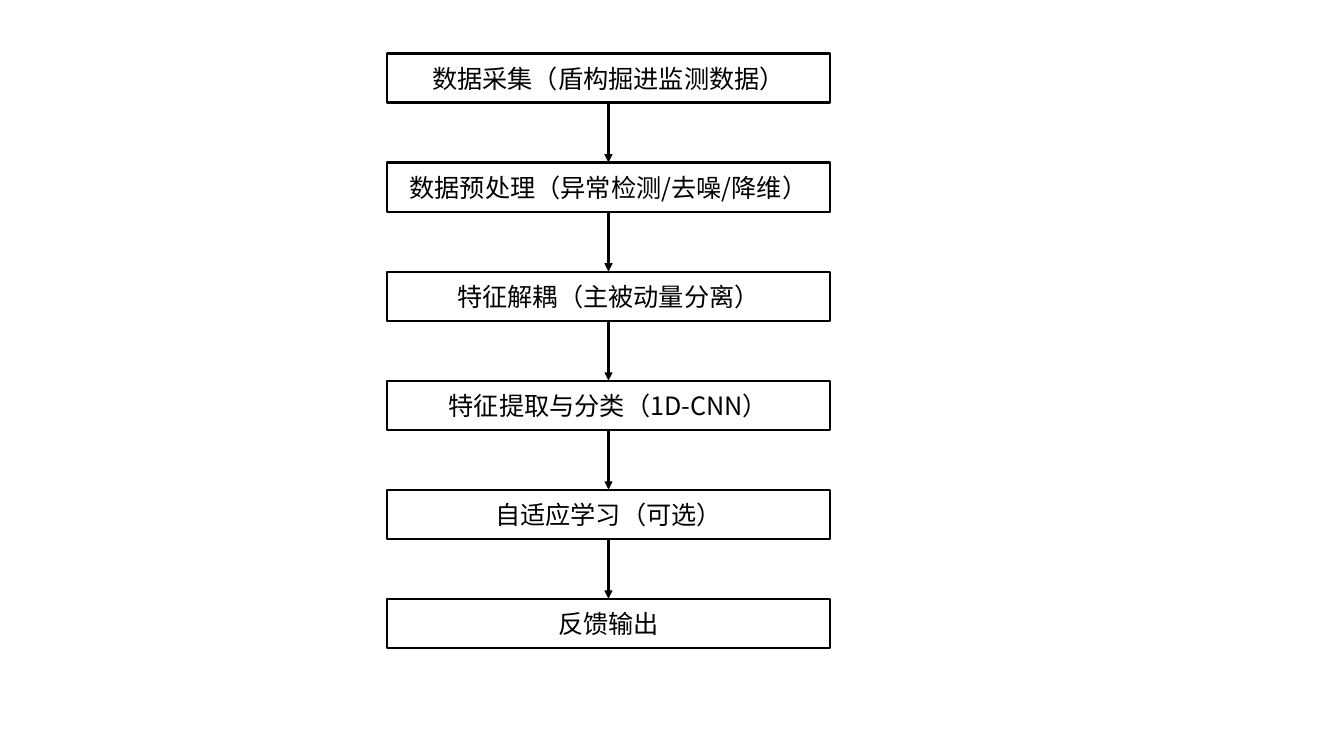
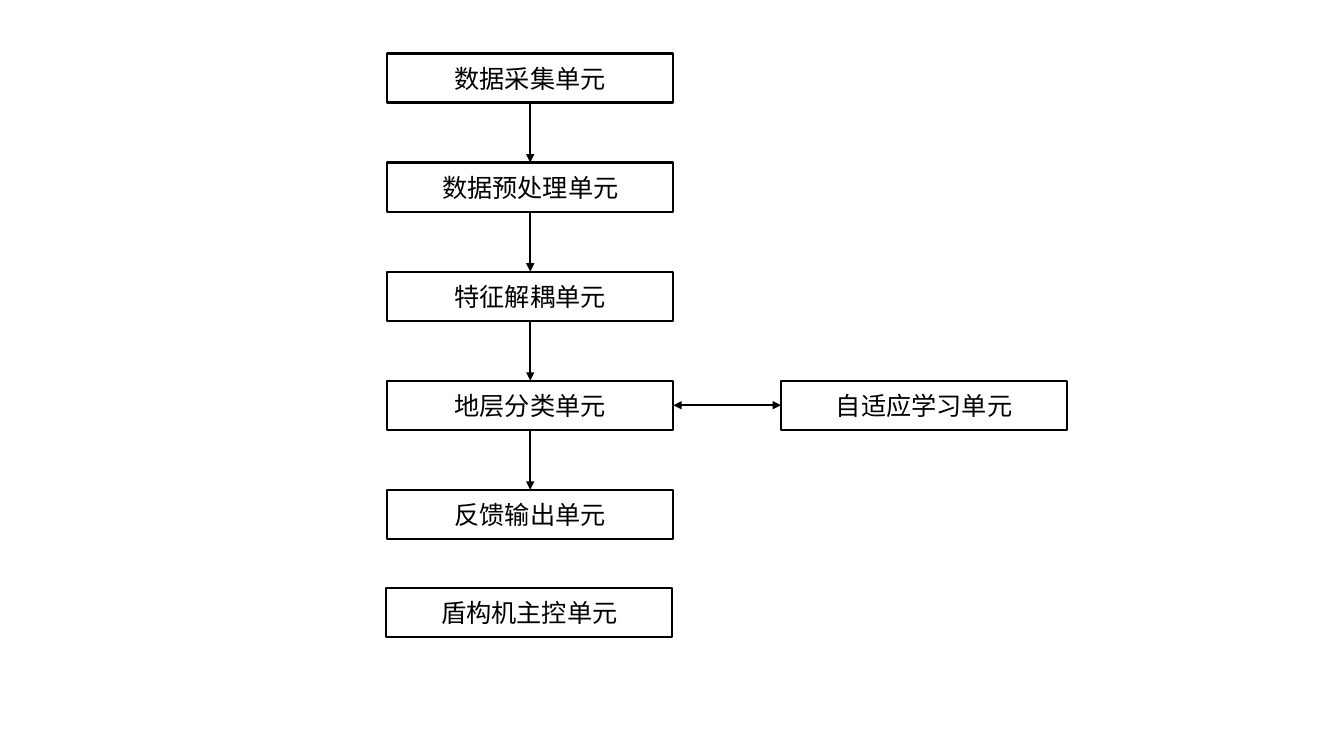
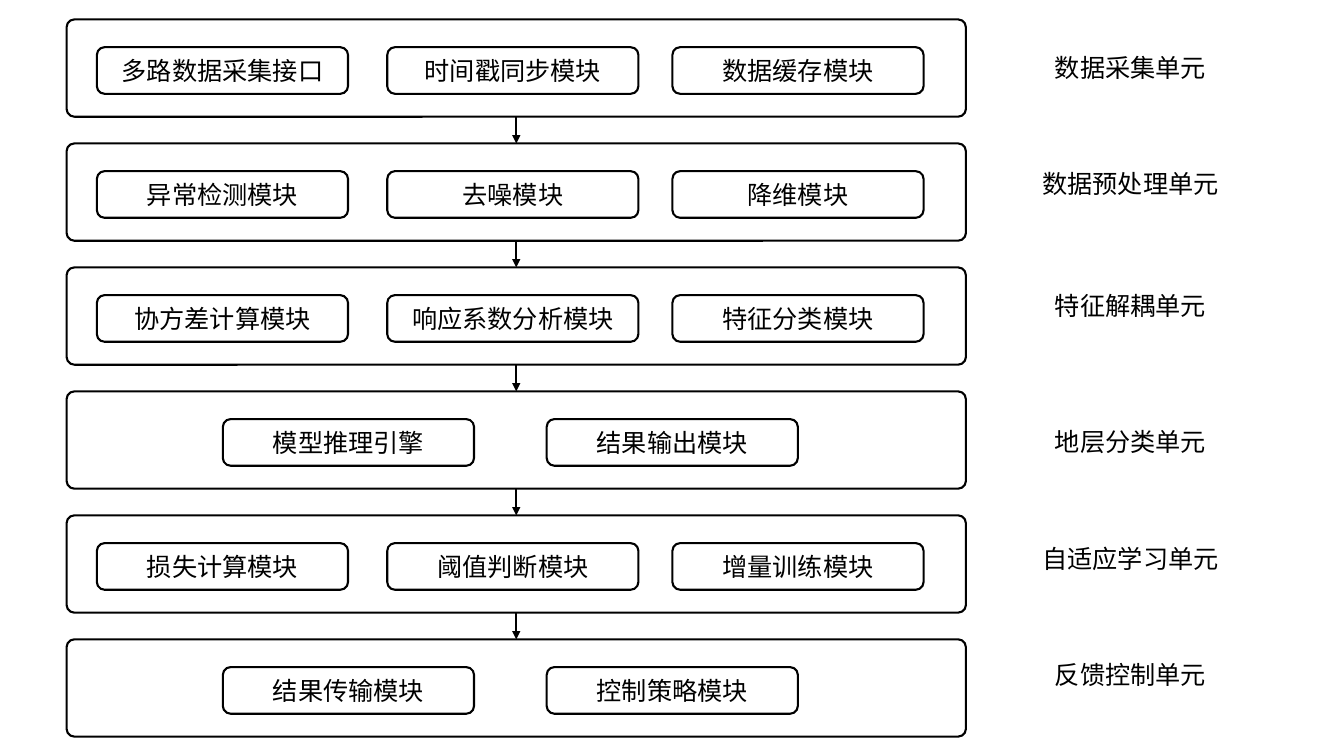
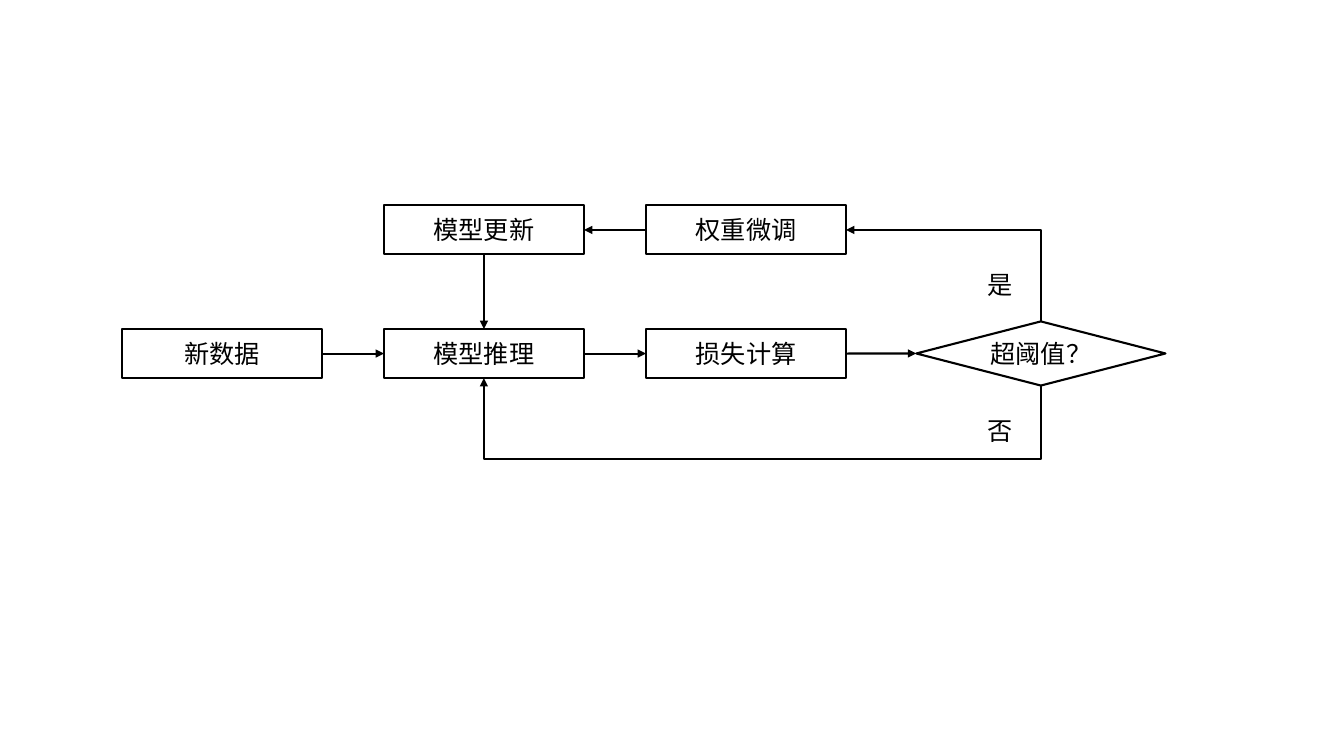
from lxml import etree
from pptx import Presentation
from pptx import util as u
from pptx.dml.color import RGBColor
from pptx.enum import shapes, text
from pptx.oxml import ns

COLORS = {"ink": "000000", "paper": "FFFFFF"}
CJK_FONT = "Noto Sans CJK SC"
LABEL_FONT = "Cabin"
FONT_FORMAT = {"size": u.Pt(18), "name": CJK_FONT}
FRAME_FORMAT = {"word_wrap": True, "vertical_anchor": text.MSO_ANCHOR.MIDDLE}
LABEL_FORMAT = {"word_wrap": True, "auto_size": text.MSO_AUTO_SIZE.SHAPE_TO_FIT_TEXT}
LINE_WIDTH = 1.5
BOX_HEIGHT = 35.1
STEP_PITCH = 77.9
TOP, LEFT, BOTTOM, RIGHT = range(4)
KIND = shapes.MSO_SHAPE


def apply(target, formats):
    for key, value in formats.items():
        setattr(target, key, value)


def color(name):
    return RGBColor.from_string(COLORS[name])


def write(frame, words, formats, align, font=CJK_FONT):
    apply(frame, formats)
    paragraph = frame.paragraphs[0]
    paragraph.alignment = align
    run = paragraph.add_run()
    run.text = words
    apply(run.font, {**FONT_FORMAT, "name": font})
    run.font.color.rgb = color("ink")
    etree.SubElement(run.font._element, ns.qn("a:ea"), typeface=CJK_FONT)


def ink_line(line):
    line.color.rgb = color("ink")
    line.width = u.Pt(LINE_WIDTH)


def add_box(parent, box, words="", kind=KIND.RECTANGLE, fill=None):
    node = parent.shapes.add_shape(kind, *map(u.Pt, box))
    node.shadow.inherit = False
    if fill:
        node.fill.solid()
        node.fill.fore_color.rgb = color(fill)
    else:
        node.fill.background()
    ink_line(node.line)
    if words:
        write(node.text_frame, words, FRAME_FORMAT, text.PP_ALIGN.CENTER)
    return node


def add_label(slide, box, words, align=None, font=CJK_FONT):
    label = slide.shapes.add_textbox(*map(u.Pt, box))
    write(label.text_frame, words, LABEL_FORMAT, align, font)


def link(slide, source, target, sides=(BOTTOM, TOP), ends=("tailEnd",),
         kind=shapes.MSO_CONNECTOR.STRAIGHT):
    arrow = slide.shapes.add_connector(kind, 0, 0, 0, 0)
    arrow.begin_connect(source, sides[0])
    arrow.end_connect(target, sides[1])
    ink_line(arrow.line)
    for end in ends:
        etree.SubElement(arrow.line._get_or_add_ln(), ns.qn(f"a:{end}"), type="triangle")
    etree.SubElement(arrow._element.spPr, ns.qn("a:effectLst"))
    return arrow


def link_bent(slide, source, target, sides, preset, turn, flip, via=None):
    arrow = link(slide, source, target, sides, kind=shapes.MSO_CONNECTOR.ELBOW)
    start_x, start_y = arrow.begin_x, arrow.begin_y
    end_x, end_y = arrow.end_x, arrow.end_y
    run, rise = abs(end_x - start_x), abs(end_y - start_y)
    apply(arrow, {"left": (start_x + end_x - rise) // 2,
                  "top": (start_y + end_y - run) // 2,
                  "width": rise, "height": run})
    xfrm = arrow._element.spPr.find(ns.qn("a:xfrm"))
    for key in ("flipH", "flipV"):
        xfrm.attrib.pop(key, None)
    xfrm.set("rot", str(turn * 60000))
    xfrm.set(flip, "1")
    geometry = arrow._element.spPr.find(ns.qn("a:prstGeom"))
    geometry.set("prst", preset)
    if via:
        ratio = round((u.Pt(via) - start_y) / (end_y - start_y) * 100000)
        guides = geometry.find(ns.qn("a:avLst"))
        if guides is None:
            guides = etree.SubElement(geometry, ns.qn("a:avLst"))
        etree.SubElement(guides, ns.qn("a:gd"), name="adj1", fmla=f"val {ratio}")


def chain(slide, nodes, sides=(BOTTOM, TOP)):
    for source, target in zip(nodes, nodes[1:]):
        link(slide, source, target, sides)


def add_steps(slide, left, top, width, steps):
    nodes = [add_box(slide, (left, top + i * STEP_PITCH, width, BOX_HEIGHT), step)
             for i, step in enumerate(steps)]
    chain(slide, nodes)
    return nodes


def method_slide(slide, left, top):
    add_steps(slide, left, top, 316.3, [
        "数据采集（盾构掘进监测数据）", "数据预处理（异常检测/去噪/降维）",
        "特征解耦（主被动量分离）", "特征提取与分类（1D-CNN）",
        "自适应学习（可选）", "反馈输出"])


def system_slide(slide, left, top):
    width = 204.5
    units = add_steps(slide, left, top, width, [
        "数据采集单元", "数据预处理单元", "特征解耦单元", "地层分类单元", "反馈输出单元"])
    learning = add_box(slide, (left + 281.4, top + 3 * STEP_PITCH, width, BOX_HEIGHT),
                       "自适应学习单元")
    link(slide, units[3], learning, (RIGHT, LEFT), ("headEnd", "tailEnd"))
    add_box(slide, (left - 0.7, top + 381.6, width, BOX_HEIGHT), "盾构机主控单元")


def add_unit(slide, left, top, modules):
    offsets = {2: (111.6, 342.9), 3: (21.6, 229, 432.7)}[len(modules)]
    unit = slide.shapes.add_group_shape()
    frame = add_box(unit, (left, top, 642.4, 69.5), kind=KIND.ROUNDED_RECTANGLE)
    frame.adjustments[0] = 0.08
    for offset, module in zip(offsets, modules):
        add_box(unit, (left + offset, top + 19.8, 179.4, 33.3), module,
                KIND.ROUNDED_RECTANGLE, "paper")
    return frame


def module_slide(slide, left, top):
    units = [
        ("数据采集单元", 19.8, ["多路数据采集接口", "时间戳同步模块", "数据缓存模块"]),
        ("数据预处理单元", 102.8, ["异常检测模块", "去噪模块", "降维模块"]),
        ("特征解耦单元", 189.9, ["协方差计算模块", "响应系数分析模块", "特征分类模块"]),
        ("地层分类单元", 287.1, ["模型推理引擎", "结果输出模块"]),
        ("自适应学习单元", 370.6, ["损失计算模块", "阈值判断模块", "增量训练模块"]),
        ("反馈控制单元", 453.4, ["结果传输模块", "控制策略模块"])]
    frames = []
    for i, (unit, label_top, modules) in enumerate(units):
        frames.append(add_unit(slide, left, top + i * 88.56, modules))
        add_label(slide, (left + 655.2, top + label_top, 209.5, 29), unit,
                  text.PP_ALIGN.CENTER)
    chain(slide, frames)


def learning_slide(slide, left, top):
    pitch, width, row = 187.2, 142.8, 88.3
    fresh, infer, loss = [
        add_box(slide, (left + i * pitch, top + row, width, BOX_HEIGHT), step)
        for i, step in enumerate(["新数据", "模型推理", "损失计算"])]
    update, tune = [
        add_box(slide, (left + i * pitch, top, width, BOX_HEIGHT), step)
        for i, step in enumerate(["模型更新", "权重微调"], 1)]
    decision = add_box(slide, (left + 567.4, top + 82.9, 178, 45.8), "超阈值？", KIND.DIAMOND)
    chain(slide, [fresh, infer, loss, decision], (RIGHT, LEFT))
    link(slide, tune, update, (LEFT, RIGHT))
    link(slide, update, infer)
    link_bent(slide, decision, tune, (TOP, RIGHT), "bentConnector2", 270, "flipV")
    link_bent(slide, decision, infer, (BOTTOM, BOTTOM), "bentConnector3", 90, "flipH",
              top + 180.9)
    for answer, offset in (("是", 42), ("否", 146.4)):
        add_label(slide, (left + 611.3, top + offset, 54.7, 29), answer, font=LABEL_FONT)


def main():
    deck = Presentation()
    apply(deck, {"slide_width": u.Pt(960), "slide_height": u.Pt(540)})
    for build, left, top in ((method_slide, 276.5, 38.2), (system_slide, 276.5, 38.2),
                             (module_slide, 47.6, 13.9), (learning_slide, 87.1, 146.7)):
        build(deck.slides.add_slide(deck.slide_layouts[6]), left, top)
    deck.save("out.pptx")


if __name__ == "__main__":
    main()
